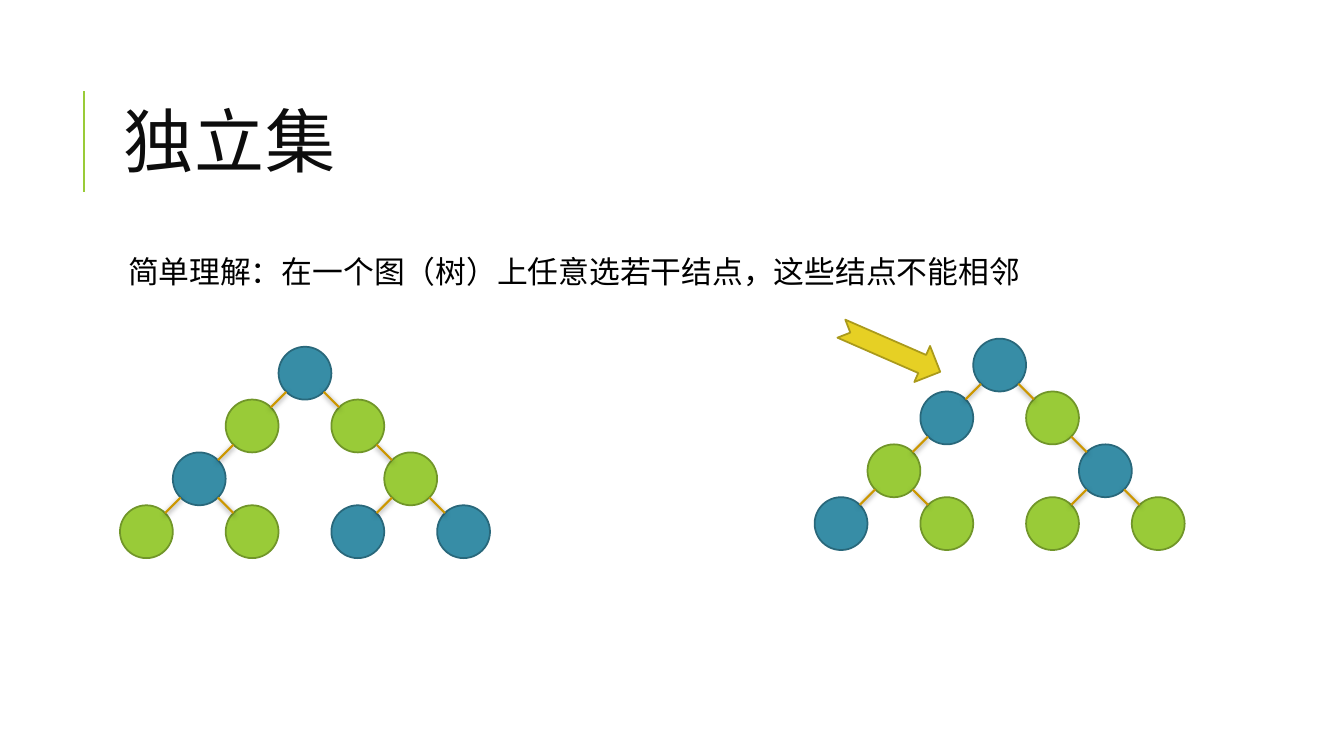
import math
from dataclasses import dataclass

import pptx
import pptx.util
import pptx.dml.color
import pptx.enum.shapes
import pptx.enum.text
import pptx.oxml
import pptx.oxml.ns
from pptx.util import Inches


@dataclass(frozen=True)
class Theme:
    font: str = "Calibri"
    title_size: float = 50
    body_size: float = 22
    title_color: str = "0D0D0D"
    body_color: str = "000000"
    accent: str = "99CB38"
    edge: str = "CC9700"
    chosen: tuple = ("378DA6", "29687B")
    unchosen: tuple = ("99CB38", "719629")
    pointer: tuple = ("E6D024", "AA9A1B")
    outline_width: float = 1.25
    line_width: float = 1.5


THEME = Theme()
SHAPE = pptx.enum.shapes.MSO_SHAPE
ANCHOR = pptx.enum.text.MSO_ANCHOR

# Rows of each tree: B is a chosen node, G an unchosen one
INDEPENDENT_TREE = ("...B...", "..G.G..", ".B...G.", "G.G.B.B")
ADJACENT_TREE = ("...B...", "..B.G..", ".G...B.", "B.G.G.G")

EDGE_SHADOW = (
    '<a:effectLst %s><a:outerShdw blurRad="50800" dist="12700" dir="5400000" '
    'algn="ctr" rotWithShape="0"><a:srgbClr val="000000"><a:alpha val="50000"/>'
    "</a:srgbClr></a:outerShdw></a:effectLst>"
)
NO_EFFECT = "<a:effectLst %s/>"


def rgb(value):
    return pptx.dml.color.RGBColor.from_string(value)


def write_text(frame, text, size, color, anchor, line_spacing, left_inset, spacing=0):
    frame.word_wrap = True
    frame.auto_size = pptx.enum.text.MSO_AUTO_SIZE.NONE
    frame.vertical_anchor = anchor
    frame.margin_left = Inches(left_inset)
    frame.margin_top = frame.margin_bottom = frame.margin_right = Inches(0.05)
    paragraph = frame.paragraphs[0]
    paragraph.alignment = pptx.enum.text.PP_ALIGN.LEFT
    paragraph.line_spacing = line_spacing
    run = paragraph.add_run()
    run.text = text
    run.font.name = THEME.font
    run.font.size = pptx.util.Pt(size)
    run.font.color.rgb = rgb(color)
    if spacing:
        run.font._element.set("spc", str(spacing * 100))


def draw_shape(shapes, preset, box, colors):
    shape = shapes.add_shape(preset, *map(Inches, box))
    shape.shadow.inherit = False
    shape.fill.solid()
    shape.fill.fore_color.rgb = rgb(colors[0])
    shape.line.color.rgb = rgb(colors[1])
    shape.line.width = pptx.util.Pt(THEME.outline_width)
    return shape


def draw_line(shapes, start, end, color, effect=NO_EFFECT):
    line = shapes.add_connector(
        pptx.enum.shapes.MSO_CONNECTOR.STRAIGHT, *map(Inches, (*start, *end))
    )
    line.line.color.rgb = rgb(color)
    line.line.width = pptx.util.Pt(THEME.line_width)
    line._element.spPr.append(
        pptx.oxml.parse_xml(effect % pptx.oxml.ns.nsdecls("a"))
    )


def add_heading(slide, left, top, width, height):
    # Accent rule stands left of the title
    rule_x = left - 0.29
    draw_line(slide.shapes, (rule_x, top + 1.26), (rule_x, top + 0.26), THEME.accent)
    title = slide.shapes.title
    title.left, title.top = Inches(left), Inches(top)
    title.width, title.height = Inches(width), Inches(height)
    write_text(title.text_frame, "独立集", size=THEME.title_size,
               color=THEME.title_color, anchor=ANCHOR.MIDDLE,
               line_spacing=0.8, left_inset=0.1, spacing=1)


def add_explanation(slide, left, top, width, height):
    explanation = slide.shapes.add_textbox(*map(Inches, (left, top, width, height)))
    write_text(explanation.text_frame,
               "简单理解：在一个图（树）上任意选若干结点，这些结点不能相邻",
               size=THEME.body_size, color=THEME.body_color, anchor=ANCHOR.TOP,
               line_spacing=0.9, left_inset=0.15)


def add_tree(slide, rows, left, top, width):
    tree = slide.shapes.add_group_shape().shapes
    step = width / len(rows[0])
    reach = step / 2 * math.sqrt(0.5)
    node_colors = {"B": THEME.chosen, "G": THEME.unchosen}
    nodes = {(column, level): node_colors[mark]
             for level, row in enumerate(rows)
             for column, mark in enumerate(row) if mark in node_colors}

    # Nodes
    for (column, level), colors in nodes.items():
        box = (left + column * step, top + level * step, step, step)
        draw_shape(tree, SHAPE.OVAL, box, colors)

    # Edges run diagonally between the rims of parent and child
    for column, level in nodes:
        x = left + (column + 0.5) * step
        y = top + (level + 0.5) * step
        for side in (-1, 1):
            if (column + side, level + 1) in nodes:
                draw_line(tree, (x + side * reach, y + reach),
                          (x + side * (step - reach), y + step - reach),
                          THEME.edge, EDGE_SHADOW)


def add_pointer(slide, left, top, width, height):
    pointer = draw_shape(slide.shapes, SHAPE.NOTCHED_RIGHT_ARROW,
                         (left, top, width, height), THEME.pointer)
    pointer.rotation = 23.6


def main():
    deck = pptx.Presentation()
    deck.slide_width, deck.slide_height = Inches(13.33), Inches(7.5)
    slide = deck.slides.add_slide(deck.slide_layouts[5])
    add_heading(slide, 1.12, 0.64, 10.63, 1.64)
    add_explanation(slide, 1.12, 2.5, 10.63, 4.4)
    add_tree(slide, INDEPENDENT_TREE, 1.19, 3.44, 3.67)
    add_tree(slide, ADJACENT_TREE, 8.08, 3.36, 3.67)
    add_pointer(slide, 8.3, 3.28, 1.07, 0.39)
    deck.save("out.pptx")


if __name__ == "__main__":
    main()
